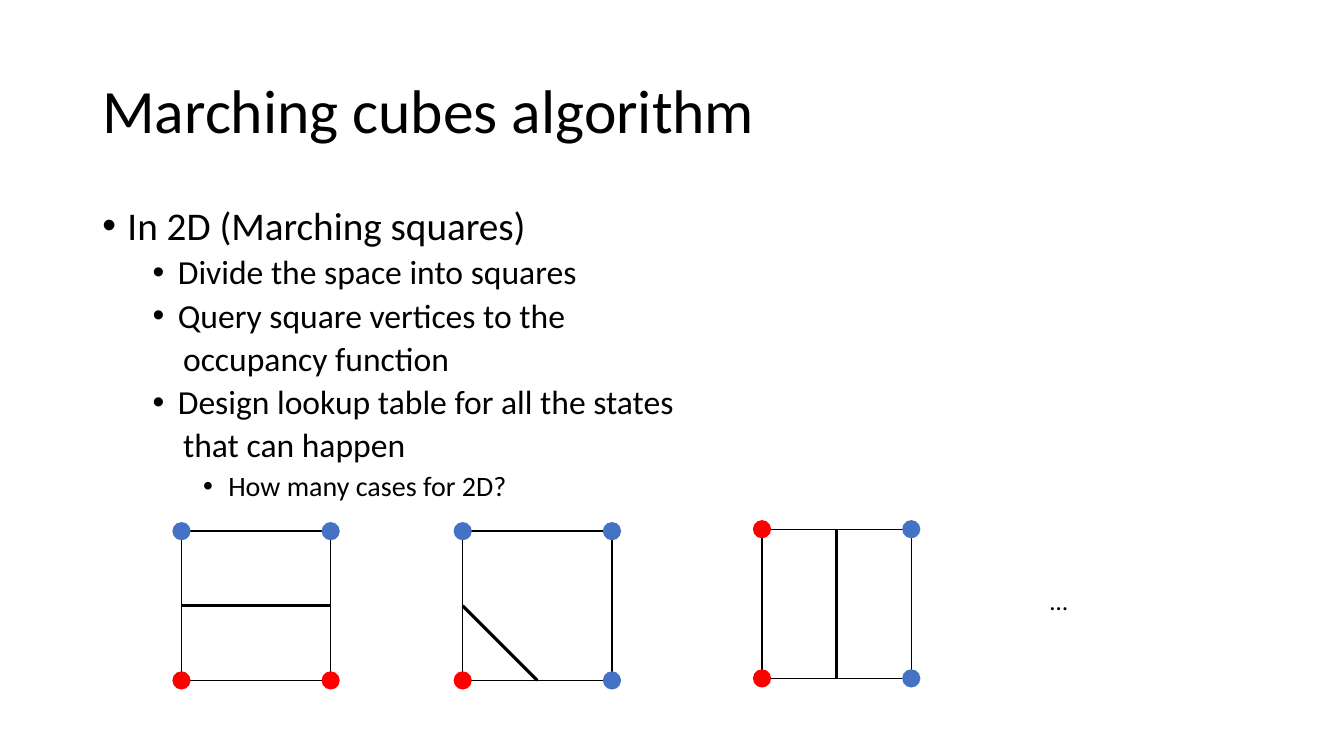
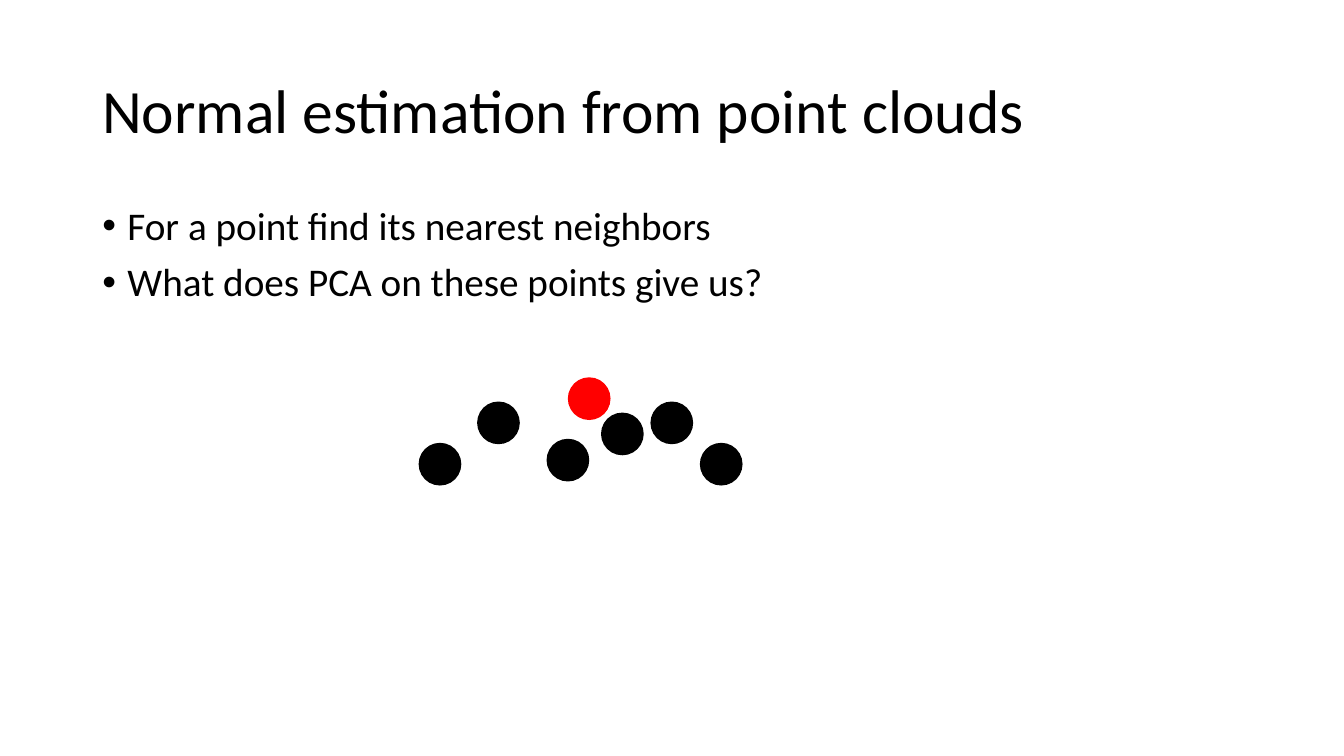
from collections import namedtuple
from dataclasses import dataclass

from lxml import etree
from pptx import Presentation
from pptx.dml.color import RGBColor
from pptx.enum.shapes import MSO_CONNECTOR, MSO_SHAPE
from pptx.enum.text import MSO_ANCHOR
from pptx.oxml.ns import qn
from pptx.util import Pt

STRAIGHT = MSO_CONNECTOR.STRAIGHT
RECTANGLE, OVAL = MSO_SHAPE.RECTANGLE, MSO_SHAPE.OVAL
TOP, MIDDLE = MSO_ANCHOR.TOP, MSO_ANCHOR.MIDDLE
TOP_SIDE, LEFT_SIDE, BOTTOM_SIDE, RIGHT_SIDE = range(4)

Box = namedtuple("Box", "left top width height")
Level = namedtuple("Level", "size indent hanging before")


@dataclass(frozen=True)
class Theme:
    font: str = "Calibri"
    ink: RGBColor = RGBColor(0, 0, 0)
    inside: RGBColor = RGBColor(0xFF, 0, 0)
    outside: RGBColor = RGBColor(0x44, 0x72, 0xC4)
    title_size: float = 44
    label_size: float = 18
    line_spacing: float = 0.9
    outline: float = 1
    contour: float = 2.25


THEME = Theme()
LEVELS = {
    "point": Level(28, 18, 18, 10),
    "detail": Level(24, 54, 18, 5),
    "detail_end": Level(24, 57.7, 0, 5),
    "question": Level(20, 90, 18, 5),
}

TITLE_BOX = Box(66, 28.8, 828, 104.4)
BODY_BOX = Box(66, 144, 828, 342.7)
SQUARE_SIDE, VERTEX_SIZE = 106.6, 13
CLOUD_BOX = Box(299.5, 270, 230.4, 76.3)
CLOUD_POINT_SIZE = 29.5

SQUARES_TEXT = [
    ("point", "In 2D (Marching squares)"),
    ("detail", "Divide the space into squares"),
    ("detail", "Query square vertices to the"),
    ("detail_end", "occupancy function"),
    ("detail", "Design lookup table for all the states"),
    ("detail_end", "that can happen"),
    ("question", "How many cases for 2D?"),
]
NORMALS_TEXT = [
    ("point", "For a point find its nearest neighbors"),
    ("point", "What does PCA on these points give us?"),
]

# Left, top, inside vertices (column, row) and the sides the contour joins
SQUARE_CASES = [
    (129.6, 379.4, {(0, 1), (1, 1)}, (LEFT_SIDE, RIGHT_SIDE)),
    (330.5, 379.4, {(0, 1)}, (LEFT_SIDE, BOTTOM_SIDE)),
    (544.3, 378, {(0, 0), (0, 1)}, (TOP_SIDE, BOTTOM_SIDE)),
]

# Offsets from the corner of the cloud
QUERY_POINT = (106.6, 0)
NEIGHBORS = [(0, 46.8), (41.8, 17.3), (165.6, 17.3),
             (200.9, 46.8), (91.4, 43.9), (130.3, 25.2)]


def write(paragraph, text, *, size, indent=0, hanging=0, before=0, spacing=None):
    """Fill one paragraph; a hanging indent carries a bullet."""
    properties = paragraph._p.get_or_add_pPr()
    properties.set("marL", str(Pt(indent)))
    properties.set("indent", str(-Pt(hanging)))
    if hanging:
        etree.SubElement(properties, qn("a:buFont")).set("typeface", "Arial")
        etree.SubElement(properties, qn("a:buChar")).set("char", "•")
    if before:
        paragraph.space_before = Pt(before)
    if spacing:
        paragraph.line_spacing = spacing
    run = paragraph.add_run()
    run.text = text
    run.font.name = THEME.font
    run.font.size = Pt(size)
    run.font.color.rgb = THEME.ink


def add_frame(slide, box, anchor=TOP, wrap=True):
    frame = slide.shapes.add_textbox(*map(Pt, box)).text_frame
    frame.word_wrap = wrap
    frame.vertical_anchor = anchor
    return frame


def add_figure(slide, preset, box, fill=None, line=None):
    figure = slide.shapes.add_shape(preset, *map(Pt, box))
    figure.shadow.inherit = False
    if fill is None:
        figure.fill.background()
    else:
        figure.fill.solid()
        figure.fill.fore_color.rgb = fill
    if line is None:
        figure.line.fill.background()
    else:
        figure.line.color.rgb = line
        figure.line.width = Pt(THEME.outline)
    return figure


def add_title(slide, box, text):
    frame = add_frame(slide, box, MIDDLE)
    write(frame.paragraphs[0], text, size=THEME.title_size,
          spacing=THEME.line_spacing)


def add_body(slide, box, items):
    frame = add_frame(slide, box)
    for index, (name, text) in enumerate(items):
        level = LEVELS[name]
        paragraph = frame.add_paragraph() if index else frame.paragraphs[0]
        write(paragraph, text, size=level.size, indent=level.indent,
              hanging=level.hanging, before=level.before if index else 0,
              spacing=THEME.line_spacing)


def add_square_case(slide, box, inside_vertices, sides):
    square = add_figure(slide, RECTANGLE, box, line=THEME.ink)

    # Vertices, centred on the corners
    for column, row in [(0, 0), (1, 0), (1, 1), (0, 1)]:
        vertex_box = Box(box.left + column * box.width - VERTEX_SIZE / 2,
                         box.top + row * box.height - VERTEX_SIZE / 2,
                         VERTEX_SIZE, VERTEX_SIZE)
        occupied = (column, row) in inside_vertices
        add_figure(slide, OVAL, vertex_box,
                   fill=THEME.inside if occupied else THEME.outside)

    # Contour between the middles of two sides
    contour = slide.shapes.add_connector(STRAIGHT, 0, 0, 0, 0)
    contour.begin_connect(square, sides[0])
    contour.end_connect(square, sides[1])
    contour.line.color.rgb = THEME.ink
    contour.line.width = Pt(THEME.contour)
    etree.SubElement(contour._element.spPr, qn("a:effectLst"))


def add_point_cloud(slide, box):
    points = [(offset, THEME.ink) for offset in NEIGHBORS]
    points.append((QUERY_POINT, THEME.inside))
    for (x, y), color in points:
        point_box = Box(box.left + x, box.top + y,
                        CLOUD_POINT_SIZE, CLOUD_POINT_SIZE)
        add_figure(slide, OVAL, point_box, fill=color, line=color)


def add_content_slide(deck, title, items):
    slide = deck.slides.add_slide(deck.slide_layouts[6])
    add_title(slide, TITLE_BOX, title)
    add_body(slide, BODY_BOX, items)
    return slide


def add_squares_slide(deck):
    slide = add_content_slide(deck, "Marching cubes algorithm", SQUARES_TEXT)
    for left, top, inside_vertices, sides in SQUARE_CASES:
        add_square_case(slide, Box(left, top, SQUARE_SIDE, SQUARE_SIDE),
                        inside_vertices, sides)
    more_cases = add_frame(slide, Box(743, 414.7, 27.4, 29), wrap=False)
    write(more_cases.paragraphs[0], "…", size=THEME.label_size)


def add_normals_slide(deck):
    slide = add_content_slide(deck, "Normal estimation from point clouds",
                              NORMALS_TEXT)
    add_point_cloud(slide, CLOUD_BOX)


def main():
    deck = Presentation()
    deck.slide_width, deck.slide_height = Pt(960), Pt(540)
    add_squares_slide(deck)
    add_normals_slide(deck)
    deck.save("out.pptx")


if __name__ == "__main__":
    main()
